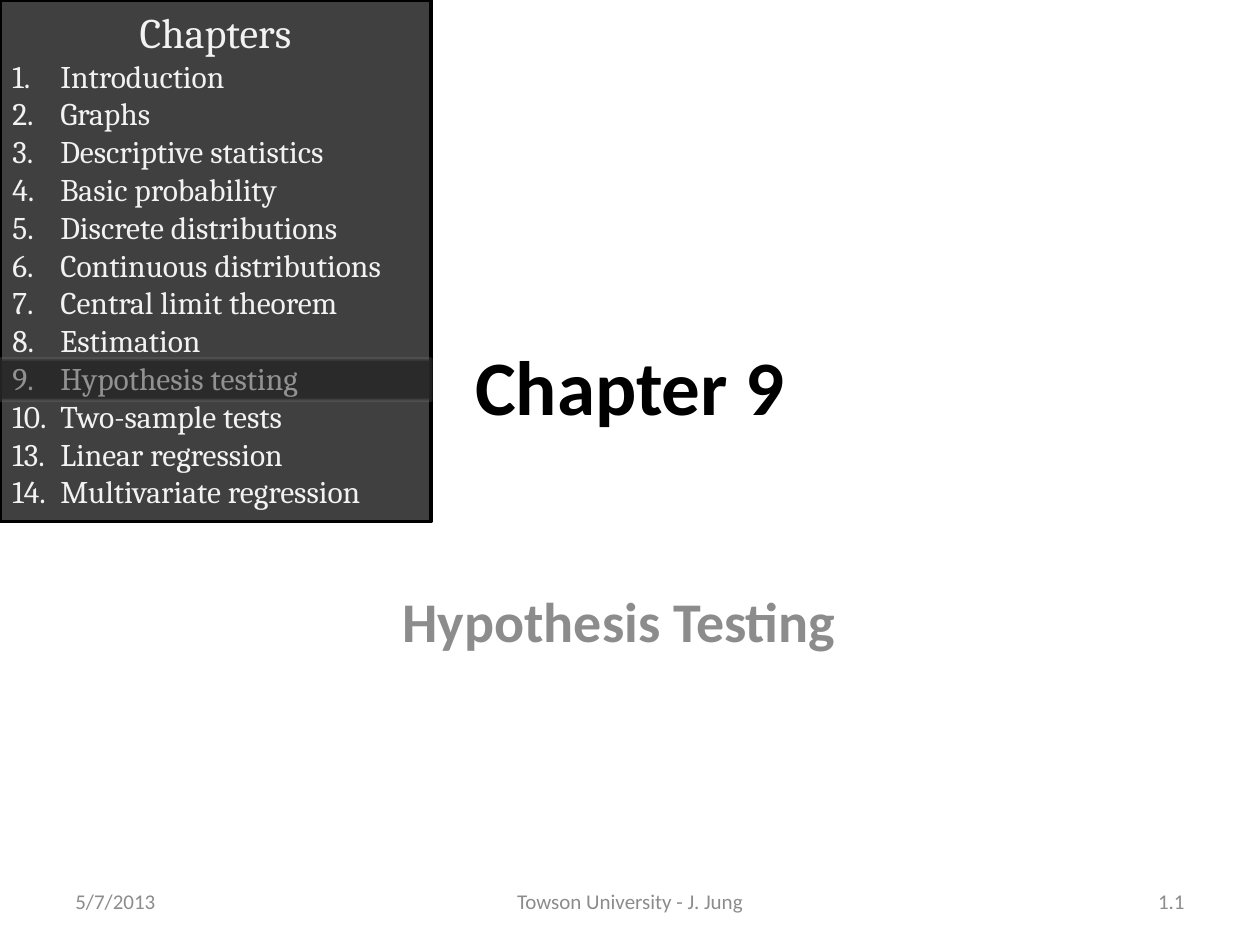
import dataclasses

import lxml.etree
import pptx
import pptx.dml.color
import pptx.enum.shapes
import pptx.enum.text
import pptx.oxml.ns
import pptx.util

ALIGN = pptx.enum.text.PP_ALIGN
ANCHOR = pptx.enum.text.MSO_ANCHOR
CHAPTERS = {
    1: "Introduction", 2: "Graphs", 3: "Descriptive statistics",
    4: "Basic probability", 5: "Discrete distributions",
    6: "Continuous distributions", 7: "Central limit theorem",
    8: "Estimation", 9: "Hypothesis testing", 10: "Two-sample tests",
    13: "Linear regression", 14: "Multivariate regression",
}
CURRENT = 9


@dataclasses.dataclass(frozen=True)
class Theme:
    """Colours, fonts and type sizes of the slide."""
    body: str = "Calibri"
    menu: str = "Cambria"
    ink: str = "000000"
    muted: str = "8C8C8C"
    panel: str = "404040"
    panel_text: str = "F2F2F2"
    band: str = "0D0D0D"
    band_line: str = "808080"
    title: int = 44
    subtitle: int = 32
    heading: int = 24
    entry: int = 18
    footer: int = 12
    border: int = 2


THEME = Theme()


def rgb(colour):
    """Return a colour object for a hex string."""
    return pptx.dml.color.RGBColor.from_string(colour)


def share(box, left, top, width, height):
    """Return the part of a box given by shares of its size."""
    x, y, w, h = box
    return x + w * left, y + h * top, w * width, h * height


def lengths(box):
    """Return a box as whole slide units."""
    return [pptx.util.Emu(round(side)) for side in box]


def style(paragraph, align, **formats):
    """Set a paragraph's alignment and font from format values."""
    paragraph.alignment = align
    paragraph.font.color.rgb = rgb(formats.pop("color"))
    for key, value in formats.items():
        setattr(paragraph.font, key, value)


def add_label(slide, box, words, align, anchor, **formats):
    """Add one line of text in a box."""
    frame = slide.shapes.add_textbox(*lengths(box)).text_frame
    frame.word_wrap = True
    frame.vertical_anchor = anchor
    frame.text = words
    style(frame.paragraphs[0], align, **formats)


def add_panel(slide, box, fill, line):
    """Add a bordered rectangle."""
    panel = slide.shapes.add_shape(
        pptx.enum.shapes.MSO_SHAPE.RECTANGLE, *lengths(box))
    panel.shadow.inherit = False
    panel.fill.solid()
    panel.fill.fore_color.rgb = rgb(fill)
    panel.line.color.rgb = rgb(line)
    panel.line.width = pptx.util.Pt(THEME.border)
    return panel


def set_opacity(panel, fill, line):
    """Set the opacity of a panel's fill and line in percent."""
    colours = panel._element.spPr.iter(pptx.oxml.ns.qn("a:srgbClr"))
    for colour, percent in zip(colours, (fill, line)):
        lxml.etree.SubElement(colour, pptx.oxml.ns.qn("a:alpha"),
                              val=str(percent * 1000))


def set_tab(paragraph, position):
    """Give a paragraph one left tab stop."""
    stops = lxml.etree.SubElement(paragraph._p.get_or_add_pPr(),
                                  pptx.oxml.ns.qn("a:tabLst"))
    lxml.etree.SubElement(stops, pptx.oxml.ns.qn("a:tab"),
                          pos=str(position), algn="l")


def add_title(slide, box):
    """Place the chapter number and its name."""
    add_label(slide, share(box, 0.075, 0.29, 0.85, 0.233), f"Chapter {CURRENT}",
              ALIGN.CENTER, ANCHOR.MIDDLE, name=THEME.body, bold=True,
              size=pptx.util.Pt(THEME.title), color=THEME.ink)
    add_label(slide, share(box, 0.05, 0.614, 0.883, 0.34), "Hypothesis Testing",
              ALIGN.CENTER, ANCHOR.TOP, name=THEME.body, bold=True,
              size=pptx.util.Pt(THEME.subtitle), color=THEME.muted)


def add_footer(slide, box):
    """Place date, author and page number along a strip."""
    parts = (
        (0, 0.26, "5/7/2013", ALIGN.LEFT),
        (0.324, 0.352, "Towson University - J. Jung", ALIGN.CENTER),
        (0.74, 0.26, "1.1", ALIGN.RIGHT),
    )
    for left, width, words, align in parts:
        add_label(slide, share(box, left, 0, width, 1), words, align,
                  ANCHOR.MIDDLE, name=THEME.body,
                  size=pptx.util.Pt(THEME.footer), color=THEME.muted)


def add_menu(slide, box):
    """Place the chapter list with a band over the current chapter."""
    frame = add_panel(slide, box, THEME.panel, THEME.ink).text_frame
    frame.word_wrap = True
    frame.vertical_anchor = ANCHOR.TOP
    frame.text = "Chapters"
    style(frame.paragraphs[0], ALIGN.CENTER, name=THEME.menu,
          size=pptx.util.Pt(THEME.heading), color=THEME.panel_text)
    for number, chapter in CHAPTERS.items():
        entry = frame.add_paragraph()
        entry.text = f"{number}.\t{chapter}"
        set_tab(entry, pptx.util.Inches(0.38))
        style(entry, ALIGN.LEFT, name=THEME.menu,
              size=pptx.util.Pt(THEME.entry), color=THEME.panel_text)
    row = 0.0725
    top = 0.108 + list(CHAPTERS).index(CURRENT) * row
    band = add_panel(slide, share(box, 0, top, 1, 1.1 * row),
                     THEME.band, THEME.band_line)
    set_opacity(band, 42, 23)


def main():
    """Build and save the slide."""
    deck = pptx.Presentation()
    deck.slide_width = pptx.util.Inches(10)
    deck.slide_height = pptx.util.Inches(7.5)
    slide = deck.slides.add_slide(deck.slide_layouts[6])
    page = (0, 0, deck.slide_width, deck.slide_height)
    add_title(slide, page)
    add_footer(slide, share(page, 0.05, 0.927, 0.9, 0.053))
    add_menu(slide, share(page, 0, 0, 0.342, 0.552))
    deck.save("out.pptx")


if __name__ == "__main__":
    main()
